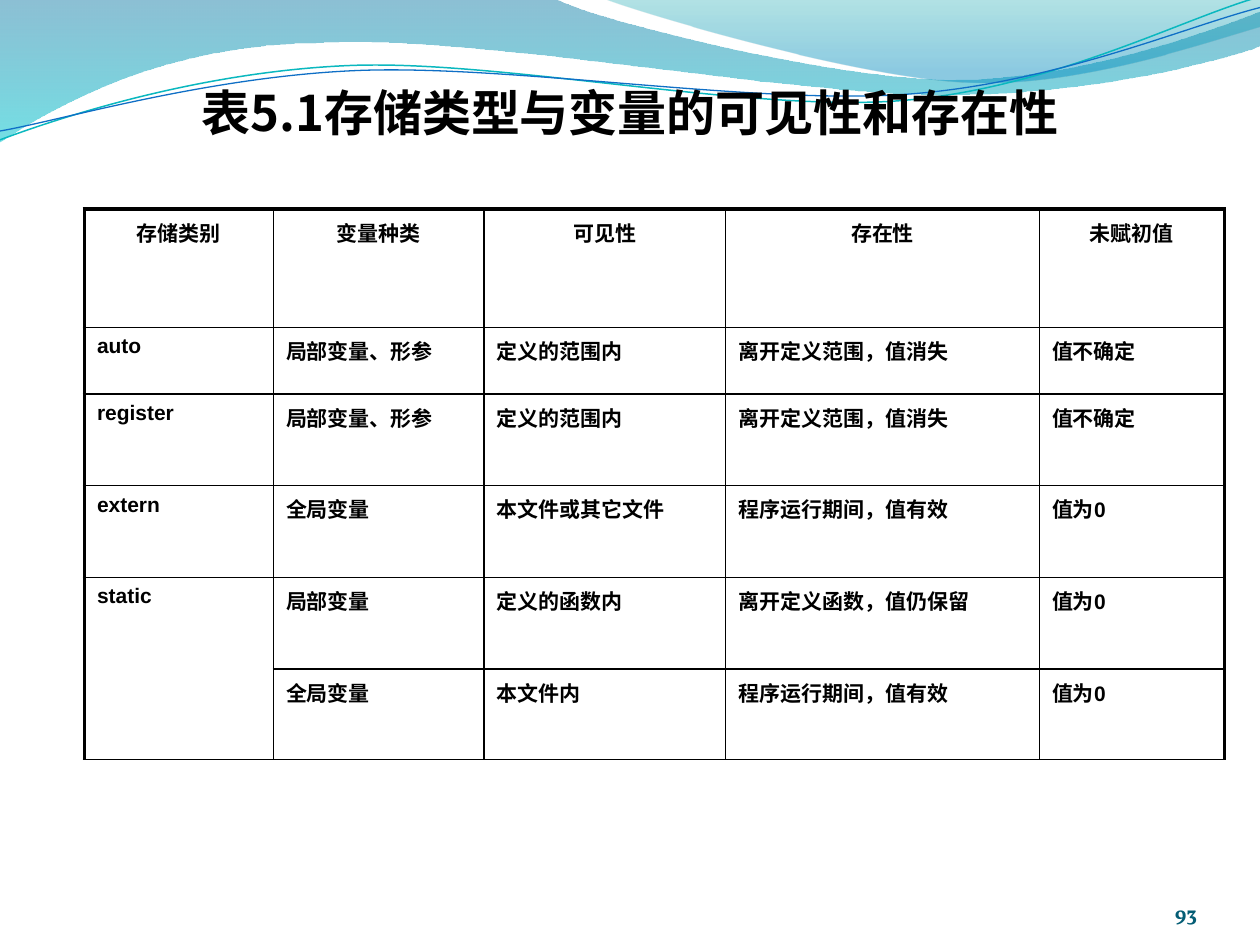
from dataclasses import dataclass
from math import cos, radians, sin

from lxml.etree import SubElement
from pptx import Presentation
from pptx.dml.color import RGBColor
from pptx.enum.text import MSO_ANCHOR, PP_ALIGN
from pptx.oxml.ns import qn
from pptx.util import Inches, Pt

CELL = Inches(1)  # the slide is a grid of 10 columns by 7.5 rows


@dataclass(frozen=True)
class Theme:
    ink: str = "000000"
    number_ink: str = "045D75"
    title_font: str = "Noto Sans CJK SC"
    body_font: str = "Arial"
    number_font: str = "Vollkorn"
    east_asian_font: str = "Noto Sans CJK SC"
    title_size: float = 28
    body_size: float = 12
    outer_border: float = 2.25
    inner_border: float = 1


@dataclass(frozen=True)
class Box:
    left: float
    top: float
    width: float
    height: float

    def emu(self):
        return [round(side * CELL)
                for side in (self.left, self.top, self.width, self.height)]


THEME = Theme()

# Each wave: start point, then segments of one point (line) or three (curve)
LEFT_WAVE = [
    (0, -0.01), [(4.4, -0.01)],
    [(4.76, 0.17), (6.64, 0.63), (7.58, 0.63)],
    [(8.53, 0.63), (9.58, 0.26), (10, 0.09)], [(10.01, 0.36)],
    [(9.83, 0.44), (8.7, 0.76), (7.46, 0.75)],
    [(6.22, 0.75), (3.82, 0.28), (2.57, 0.34)],
    [(1.29, 0.35), (0.46, 0.83), (-0.01, 1.13)], [(0, -0.01)],
]
RIGHT_WAVE = [
    (4.79, -0.01),
    [(5.09, 0.11), (6.82, 0.62), (7.69, 0.65)],
    [(8.56, 0.69), (9.61, 0.32), (10, 0.21)], [(10, 0)], [(4.79, -0.01)],
]
TEAL_STRAND = [
    (0, 1.11),
    [(0.48, 0.93), (1.58, 0.57), (2.77, 0.52)],
    [(3.95, 0.47), (5.93, 0.89), (7.13, 0.8)],
    [(8.33, 0.71), (9.38, 0.15), (9.98, -0.02)],
]
BLUE_STRAND = [
    (0, 1.04),
    [(0.47, 0.96), (1.64, 0.61), (2.83, 0.56)],
    [(4.03, 0.51), (5.97, 0.83), (7.17, 0.75)],
    [(8.36, 0.67), (9.41, 0.21), (10, 0.06)],
]
# Gradient stops: position, colour, opacity in percent
FILLED_WAVES = [
    (LEFT_WAVE, [(0, "0074A1", 45), (1, "00C6CF", 55)]),
    (RIGHT_WAVE, [(0, "00A1A9", 30), (0.8, "008BBF", 45)]),
]
STRANDS = [(TEAL_STRAND, "0AB8BF", 0.85), (BLUE_STRAND, "0F6FC6", 0.75)]
STRAND_TILT = 2.7  # degrees anticlockwise
STRAND_CENTRE = (4.99, 0.58)

COLUMN_WIDTHS = [1.5, 1.67, 1.92, 2.49, 1.47]
ROW_HEIGHTS = [0.94, 0.53, 0.73, 0.73, 0.73, 0.72]
STORAGE_ROWS = [
    ["存储类别", "变量种类", "可见性", "存在性", "未赋初值"],
    ["auto", "局部变量、形参", "定义的范围内", "离开定义范围，值消失", "值不确定"],
    ["register", "局部变量、形参", "定义的范围内", "离开定义范围，值消失", "值不确定"],
    ["extern", "全局变量", "本文件或其它文件", "程序运行期间，值有效", "值为0"],
    ["static", "局部变量", "定义的函数内", "离开定义函数，值仍保留", "值为0"],
    ["", "全局变量", "本文件内", "程序运行期间，值有效", "值为0"],
]


def style_text(paragraph, font, size, color, align):
    paragraph.alignment = align
    for run in paragraph.runs:
        run.font.name, run.font.size, run.font.bold = font, Pt(size), True
        run.font.color.rgb = RGBColor.from_string(color)
        east_asian = SubElement(run.font._element, qn("a:ea"))
        east_asian.set("typeface", THEME.east_asian_font)


def level(point):
    """Turn a strand's point back to where it lies before the tilt."""
    (cx, cy), angle = STRAND_CENTRE, radians(STRAND_TILT)
    dx, dy = point[0] - cx, point[1] - cy
    return (cx + dx * cos(angle) - dy * sin(angle),
            cy + dx * sin(angle) + dy * cos(angle))


def draw_wave(slide, box, wave, closed):
    points = [wave[0]] + [point for segment in wave[1:] for point in segment]
    if not closed:
        points = [level(point) for point in points]
    points = [(round(x * CELL), round(y * CELL)) for x, y in points]
    builder = slide.shapes.build_freeform(*points[0])
    builder.add_line_segments(points[1:], close=closed)
    outline = builder.convert_to_shape(*box.emu()[:2])
    outline.shadow.inherit = False

    # Join each three control points into one cubic curve
    steps = iter(outline.element.xpath(".//a:path/a:lnTo"))
    for segment in wave[1:]:
        corners = [next(steps) for _ in segment]
        if len(corners) == 3:
            curve = SubElement(corners[0].getparent(), qn("a:cubicBezTo"))
            corners[0].addprevious(curve)
            for corner in corners:
                curve.append(corner[0])
                corner.getparent().remove(corner)
    return outline


def add_banner(slide, box):
    # Translucent waves
    for wave, stops in FILLED_WAVES:
        band = draw_wave(slide, box, wave, closed=True)
        band.line.fill.background()
        band.fill.gradient()
        band.fill.gradient_angle = 270
        for stop, (position, color, _) in zip(band.fill.gradient_stops, stops):
            stop.position = position
            stop.color.rgb = RGBColor.from_string(color)
        for tint, (_, _, opacity) in zip(band.element.xpath(".//a:gs/a:srgbClr"), stops):
            SubElement(tint, qn("a:alpha")).set("val", str(opacity * 1000))
    # Thin strands
    for wave, color, width in STRANDS:
        strand = draw_wave(slide, box, wave, closed=False)
        strand.rotation = 360 - STRAND_TILT
        strand.fill.background()
        strand.line.color.rgb = RGBColor.from_string(color)
        strand.line.width = Pt(width)


def add_title(slide, box):
    heading = slide.shapes.title
    heading.left, heading.top, heading.width, heading.height = box.emu()
    heading.text_frame.text = "表5.1存储类型与变量的可见性和存在性"
    heading.text_frame.vertical_anchor = MSO_ANCHOR.MIDDLE
    style_text(heading.text_frame.paragraphs[0], THEME.title_font,
               THEME.title_size, THEME.ink, PP_ALIGN.CENTER)
    slide.shapes.element.append(heading.element)  # in front of the banner


def set_borders(cell, widths):
    properties = cell._tc.get_or_add_tcPr()
    for side, width in widths.items():
        border = SubElement(properties, qn(f"a:ln{side}"), w=str(Pt(width)))
        ink = SubElement(SubElement(border, qn("a:solidFill")), qn("a:srgbClr"))
        ink.set("val", THEME.ink)


def add_storage_table(slide, box):
    storage = slide.shapes.add_table(
        len(ROW_HEIGHTS), len(COLUMN_WIDTHS), *box.emu()).table
    storage.first_row = storage.horz_banding = False
    for column, width in zip(storage.columns, COLUMN_WIDTHS):
        column.width = round(box.width * CELL * width / sum(COLUMN_WIDTHS))
    for row, height in zip(storage.rows, ROW_HEIGHTS):
        row.height = round(box.height * CELL * height / sum(ROW_HEIGHTS))

    outer, inner = THEME.outer_border, THEME.inner_border
    last_column = len(COLUMN_WIDTHS) - 1
    for r, entries in enumerate(STORAGE_ROWS):
        for c, entry in enumerate(entries):
            cell = storage.cell(r, c)
            set_borders(cell, {"L": outer if c == 0 else inner,
                               "R": outer if c == last_column else inner,
                               "T": outer if r == 0 else inner,
                               "B": inner})
            cell.fill.background()
            cell.text_frame.text = entry
            paragraph = cell.text_frame.paragraphs[0]
            paragraph.line_spacing = 1.05
            paragraph.space_before = Pt(0.15 * THEME.body_size)
            style_text(paragraph, THEME.body_font, THEME.body_size, THEME.ink,
                       PP_ALIGN.CENTER if r == 0 else PP_ALIGN.LEFT)
    # "static" covers both of its variable kinds
    storage.cell(4, 0).merge(storage.cell(5, 0))


def add_page_number(slide, box):
    frame = slide.shapes.add_textbox(*box.emu()).text_frame
    frame.word_wrap = True
    frame.vertical_anchor = MSO_ANCHOR.BOTTOM
    frame.margin_left = frame.margin_right = frame.margin_top = frame.margin_bottom = 0
    frame.text = "93"
    style_text(frame.paragraphs[0], THEME.number_font, THEME.body_size,
               THEME.number_ink, PP_ALIGN.RIGHT)


def main():
    deck = Presentation()
    deck.slide_width, deck.slide_height = 10 * CELL, round(7.5 * CELL)
    slide = deck.slides.add_slide(deck.slide_layouts[5])
    add_banner(slide, Box(0, 0, 10, 1.13))
    add_page_number(slide, Box(8.67, 6.95, 0.83, 0.4))
    add_title(slide, Box(0.51, 0.6, 8.98, 0.57))
    add_storage_table(slide, Box(0.67, 1.66, 9.05, 4.37))
    deck.save("out.pptx")


if __name__ == "__main__":
    main()
